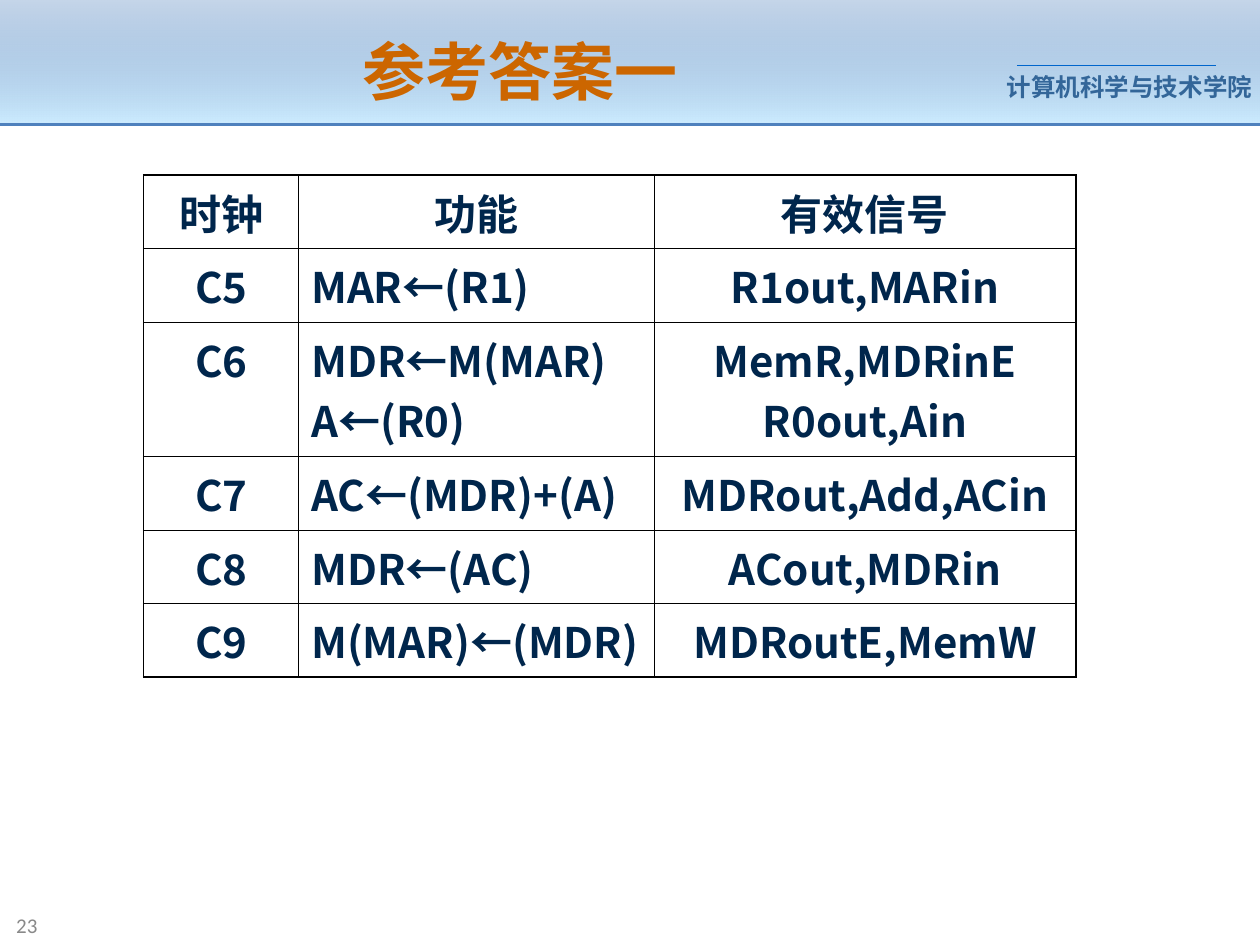
from lxml.etree import SubElement
from pptx import Presentation
from pptx.dml.color import RGBColor
from pptx.enum.shapes import MSO_CONNECTOR, MSO_SHAPE
from pptx.enum.text import MSO_ANCHOR, PP_ALIGN
from pptx.oxml import parse_xml
from pptx.oxml.ns import nsdecls, qn
from pptx.util import Inches, Pt

HUES = {
    "title": "CC6600", "school": "336699", "rule": "0066CC",
    "band": "4F81BD", "pale": "CCECFF", "cell": "00264C",
    "grid": "000000", "page": "898989",
}
SANS = "Noto Sans CJK SC"
THIN, THICK = 0.45, 1.08


def hue(name):
    return RGBColor.from_string(HUES[name])


class Deck:
    """Slide on a grid of 100 columns by 75 rows."""

    def __init__(self):
        self.prs = Presentation()
        self.prs.slide_width, self.prs.slide_height = Inches(10), Inches(7.5)
        self.slide = self.prs.slides.add_slide(self.prs.slide_layouts[6])
        self.unit = self.prs.slide_width / 100

    def span(self, *cells):
        return [round(n * self.unit) for n in cells]

    def style(self, para, size, font, tone, bold, align):
        para.alignment = align
        for run in para.runs:
            run.font.size, run.font.bold, run.font.name = Pt(size), bold, font
            run.font.color.rgb = hue(tone)
            east = SubElement(run.font._element, qn("a:ea"))
            east.set("typeface", SANS)

    def text(self, words, box, size, font, tone, bold=True,
             align=PP_ALIGN.LEFT, anchor=MSO_ANCHOR.MIDDLE, side=0.1):
        frame = self.slide.shapes.add_textbox(*self.span(*box)).text_frame
        frame.word_wrap = True
        frame.vertical_anchor = anchor
        frame.margin_left = frame.margin_right = Inches(side)
        frame.text = words
        self.style(frame.paragraphs[0], size, font, tone, bold, align)

    def band(self, box, top, low, alpha):
        shape = self.slide.shapes.add_shape(MSO_SHAPE.RECTANGLE, *self.span(*box))
        shape.shadow.inherit = False
        shape.line.fill.background()
        shape.fill.gradient()
        shape.fill.gradient_angle = 270
        for stop, tone, place in zip(shape.fill.gradient_stops, (top, low), (0, 1)):
            stop.color.rgb = hue(tone)
            stop.position = place
        first = next(shape._element.iter(qn("a:srgbClr")))
        SubElement(first, qn("a:alpha")).set("val", str(alpha * 1000))

    def line(self, left, right, row, tone, width):
        rule = self.slide.shapes.add_connector(
            MSO_CONNECTOR.STRAIGHT, *self.span(left, row, right, row))
        rule.line.color.rgb, rule.line.width = hue(tone), Pt(width)
        SubElement(rule._element.spPr, qn("a:effectLst"))

    def edge(self, cell, widths):
        props = cell._tc.get_or_add_tcPr()
        for spot, (side, width) in enumerate(zip("LRTB", widths)):
            props.insert(spot, parse_xml(
                f'<a:ln{side} {nsdecls("a")} w="{Pt(width)}"><a:solidFill>'
                f'<a:srgbClr val="{HUES["grid"]}"/></a:solidFill></a:ln{side}>'))

    def table(self, data, left, top, cols, rows):
        box = self.span(left, top, sum(cols), sum(rows))
        grid = self.slide.shapes.add_table(len(rows), len(cols), *box).table
        grid.first_row = grid.horz_banding = False
        for col, wide in zip(grid.columns, self.span(*cols)):
            col.width = wide
        for row, high in zip(grid.rows, self.span(*rows)):
            row.height = high
        ends = len(rows) - 1, len(cols) - 1
        for r, line in enumerate(data):
            for c, words in enumerate(line):
                cell = grid.cell(r, c)
                cell.text = words
                cell.fill.background()
                align = PP_ALIGN.LEFT if r and c == 1 else PP_ALIGN.CENTER
                for para in cell.text_frame.paragraphs:
                    self.style(para, 24, SANS, "cell", True, align)
                outer = c == 0, c == ends[1], r == 0, r == ends[0]
                self.edge(cell, [THICK if out else THIN for out in outer])


STEPS = [
    ("时钟", "功能", "有效信号"),
    ("C5", "MAR←(R1)", "R1out,MARin"),
    ("C6", "MDR←M(MAR)\nA←(R0)", "MemR,MDRinE\nR0out,Ain"),
    ("C7", "AC←(MDR)+(A)", "MDRout,Add,ACin"),
    ("C8", "MDR←(AC)", "ACout,MDRin"),
    ("C9", "M(MAR)←(MDR)", "MDRoutE,MemW"),
]


def main():
    deck = Deck()
    # Header band with school name
    deck.band((0, 0, 100, 9.9), "band", "pale", 32)
    deck.text("计算机科学与技术学院", (79.9, 5.2, 19.7, 3.4), 14, "Arial", "school",
              anchor=MSO_ANCHOR.TOP, side=0)
    deck.line(80.7, 96.5, 5.2, "rule", 0.75)
    deck.line(0, 100, 9.9, "band", 1.5)
    # Page number
    deck.text("23", (0.3, 71.8, 22.1, 3.2), 12, "Calibri", "page", bold=False)
    # Title
    deck.text("参考答案一", (5.1, 2.1, 72.4, 7), 36, SANS, "title",
              align=PP_ALIGN.CENTER)
    # Clock steps
    heights = [10.7 if "\n" in step[1] else 5.83 for step in STEPS]
    deck.table(STEPS, 11.4, 13.9, (12.3, 28.2, 33.5), heights)
    deck.prs.save("out.pptx")


if __name__ == "__main__":
    main()
